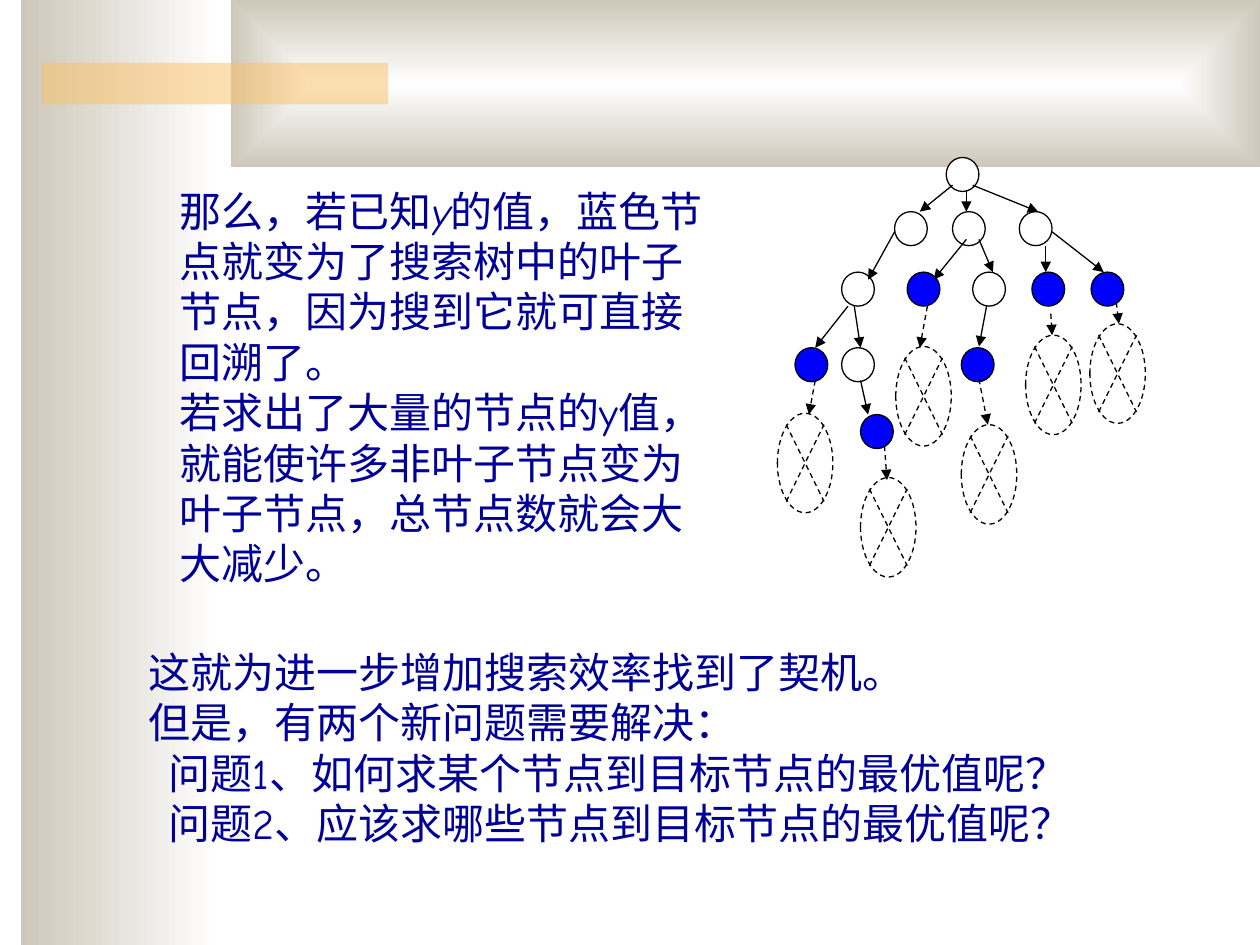
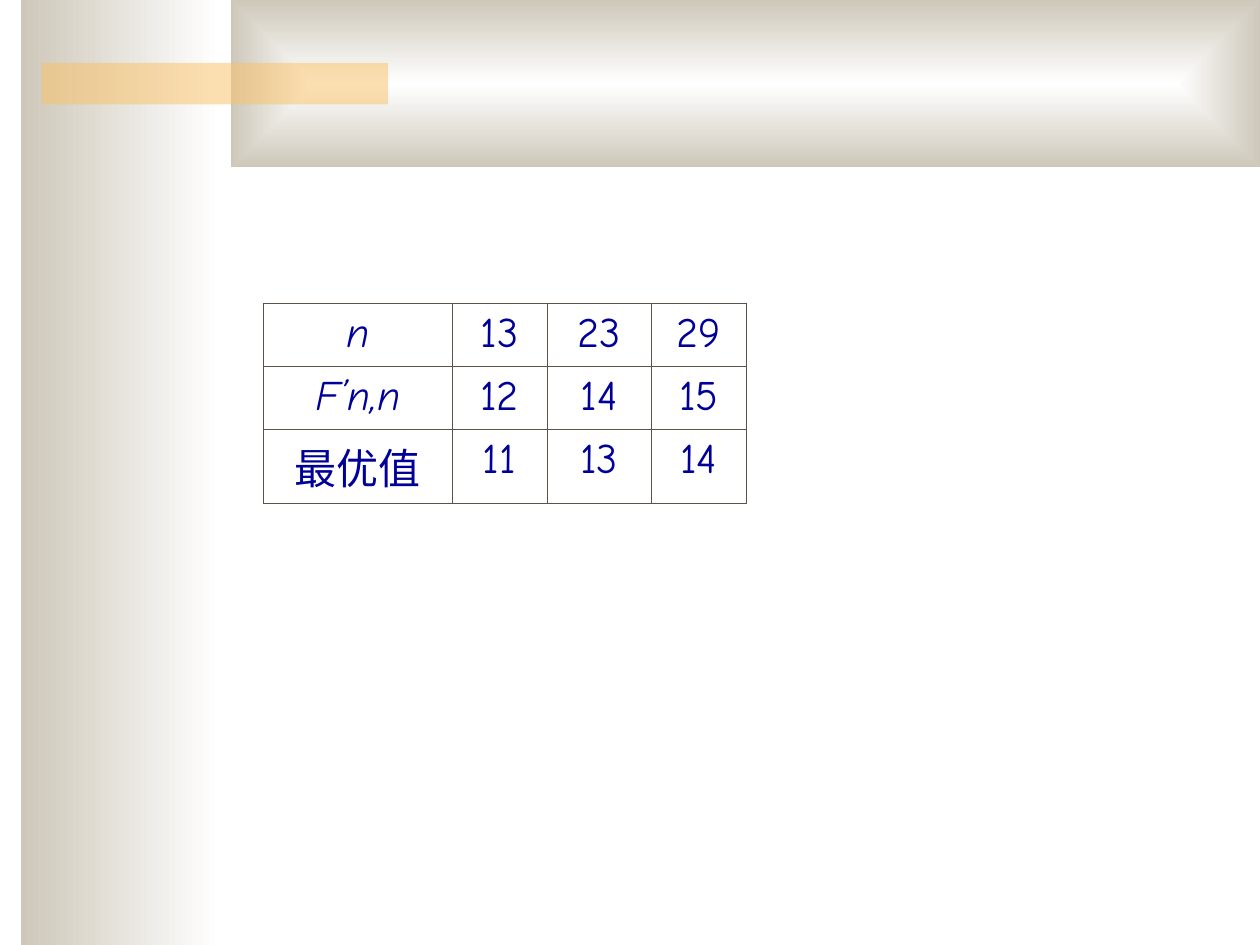
from dataclasses import dataclass

from lxml import etree
from pptx import Presentation
from pptx.dml.color import RGBColor
from pptx.enum.dml import MSO_LINE
from pptx.enum.lang import MSO_LANGUAGE_ID
from pptx.enum.shapes import MSO_CONNECTOR, MSO_SHAPE
from pptx.enum.text import PP_ALIGN
from pptx.oxml import parse_xml
from pptx.oxml.ns import nsdecls, qn
from pptx.util import Inches, Pt

RECT, OVAL = MSO_SHAPE.RECTANGLE, MSO_SHAPE.OVAL
STRAIGHT, DASH, CENTER = MSO_CONNECTOR.STRAIGHT, MSO_LINE.DASH, PP_ALIGN.CENTER
CHINESE = MSO_LANGUAGE_ID.SIMPLIFIED_CHINESE
BLANK = 6


@dataclass(frozen=True)
class Theme:
    white: str = "FFFFFF"
    stone: str = "CEC8BA"
    amber: str = "FAC164"
    navy: str = "000099"
    blue: str = "0000FF"
    black: str = "000000"
    border: str = "5B5249"
    font: str = "Comic Neue"
    body: float = 24
    line: float = 0.75
    cell_line: float = 0.45


T = Theme()

NODE_SIZE = (0.26, 0.27)
NODE_ROWS = [
    (1.25, [(7.51, T.white)]),
    (1.68, [(7.10, T.white), (7.56, T.white), (8.09, T.white)]),
    (2.16, [(6.68, T.white), (7.20, T.blue), (7.72, T.white), (8.19, T.blue), (8.66, T.blue)]),
    (2.76, [(6.31, T.blue), (6.68, T.white), (7.63, T.blue)]),
    (3.29, [(6.83, T.blue)]),
]
BRANCHES = [
    (7.56, 1.47, 7.30, 1.68), (7.67, 1.52, 7.67, 1.68), (7.72, 1.47, 8.24, 1.68),
    (7.10, 1.84, 6.89, 2.22), (7.67, 1.90, 7.41, 2.22), (7.77, 1.90, 7.88, 2.16),
    (8.30, 1.95, 8.30, 2.16), (8.35, 1.84, 8.76, 2.16), (7.83, 2.43, 7.77, 2.75),
    (6.78, 2.43, 6.83, 2.76), (6.73, 2.43, 6.47, 2.76), (6.83, 3.02, 6.89, 3.29),
]
CUT_BRANCHES = [
    (7.36, 2.43, 7.30, 2.76), (6.47, 3.02, 6.42, 3.29), (7.77, 3.01, 7.84, 3.37),
    (7.02, 3.54, 7.04, 3.81), (8.34, 2.49, 8.35, 2.66), (8.86, 2.40, 8.88, 2.57),
]
SUBTREE_SIZE = (0.44, 0.79)
SUBTREES = [(6.17, 3.28), (6.83, 3.79), (7.11, 2.75), (7.63, 3.37), (8.14, 2.66), (8.65, 2.57)]
CROSS_INSET = (0.07, 0.09)

LEAF_TEXT = [
    (0, [("那么，若已知", False), ("y", True),
         ("的值，蓝色节点就变为了搜索树中的叶子节点，因为搜到它就可直接回溯了。", False)]),
    (0, [("若求出了大量的节点的y值，就能使许多非叶子节点变为叶子节点，总节点数就会大大减少。", False)]),
]
QUESTION_TEXT = [
    (0, [("这就为进一步增加搜索效率找到了契机。", False)]),
    (0, [("但是，有两个新问题需要解决：", False)]),
    (0.16, [("问题1、如何求某个节点到目标节点的最优值呢？", False)]),
    (0.16, [("问题2、应该求哪些节点到目标节点的最优值呢？", False)]),
]
VALUES = [["n", "13", "23", "29"], ["F’n,n", "12", "14", "15"], ["最优值", "11", "13", "14"]]
ITALIC_LABELS = ("n", "F’n,n")


def rgb(value):
    return RGBColor.from_string(value)


def box(*lengths):
    return [Inches(v) for v in lengths]


def add_run(p, text, italic):
    r = p.add_run()
    r.text = text
    formats = {"name": T.font, "size": Pt(T.body), "italic": italic, "language_id": CHINESE}
    for name, value in formats.items():
        setattr(r.font, name, value)
    r.font.color.rgb = rgb(T.navy)


def add_text(s, at, paragraphs):
    tf = s.shapes.add_textbox(*box(*at)).text_frame
    tf.word_wrap = True
    for i, (indent, runs) in enumerate(paragraphs):
        p = tf.paragraphs[0] if i == 0 else tf.add_paragraph()
        if indent:
            p._p.get_or_add_pPr().set("marL", str(Inches(indent)))
        for text, italic in runs:
            add_run(p, text, italic)


def add_band(s, at, direction):
    sp = s.shapes.add_shape(RECT, *box(*at))
    sp.shadow.inherit = False
    sp.line.fill.background()
    old = sp._element.spPr.find(qn("a:prstGeom"))
    old.addnext(parse_xml(
        f'<a:gradFill {nsdecls("a")} rotWithShape="1"><a:gsLst>'
        f'<a:gs pos="0"><a:srgbClr val="{T.white}"/></a:gs>'
        f'<a:gs pos="100000"><a:srgbClr val="{T.stone}"/></a:gs>'
        f'</a:gsLst>{direction}</a:gradFill>'))
    return sp


def add_accent(s):
    sp = s.shapes.add_shape(RECT, *box(0.33, 0.5, 2.75, 0.33))
    sp.shadow.inherit = False
    sp.line.fill.background()
    sp.fill.solid()
    sp.fill.fore_color.rgb = rgb(T.amber)
    color = sp._element.spPr.find(qn("a:solidFill"))[0]
    etree.SubElement(color, qn("a:alpha")).set("val", "50000")
    return sp


def decorate_layout(s):
    center = '<a:fillToRect l="50000" t="50000" r="50000" b="50000"/>'
    shapes = [
        add_band(s, (0.17, 0, 1.58, 7.5), '<a:lin ang="10800000" scaled="1"/>'),
        add_band(s, (1.83, 0, 8.17, 1.33), f'<a:path path="rect">{center}</a:path>'),
        add_accent(s),
    ]
    for sp in shapes:
        s.slide_layout.shapes._spTree.append(sp._element)


def style_line(line, dashed):
    line.color.rgb = rgb(T.black)
    line.width = Pt(T.line)
    if dashed:
        line.dash_style = DASH


def add_oval(shapes, at, fill=None):
    sp = shapes.add_shape(OVAL, *box(*at))
    sp.shadow.inherit = False
    if fill:
        sp.fill.solid()
        sp.fill.fore_color.rgb = rgb(fill)
    else:
        sp.fill.background()
    style_line(sp.line, dashed=fill is None)


def add_line(shapes, ends, dashed=False, arrow=True):
    cxn = shapes.add_connector(STRAIGHT, *box(*ends))
    style_line(cxn.line, dashed)
    if arrow:
        etree.SubElement(cxn.line._get_or_add_ln(), qn("a:tailEnd")).set("type", "triangle")
    etree.SubElement(cxn._element.spPr, qn("a:effectLst"))


def add_cut_subtree(shapes, x, y):
    w, h = SUBTREE_SIZE
    dx, dy = CROSS_INSET
    left, right, top, bottom = x + dx, x + w - dx, y + dy, y + h - dy
    add_oval(shapes, (x, y, w, h))
    add_line(shapes, (left, top, right, bottom), dashed=True, arrow=False)
    add_line(shapes, (left, bottom, right, top), dashed=True, arrow=False)


def add_search_tree(s):
    shapes = s.shapes.add_group_shape().shapes
    for y, nodes in NODE_ROWS:
        for x, fill in nodes:
            add_oval(shapes, (x, y, *NODE_SIZE), fill)
    for ends in BRANCHES:
        add_line(shapes, ends)
    for ends in CUT_BRANCHES:
        add_line(shapes, ends, dashed=True)
    for x, y in SUBTREES:
        add_cut_subtree(shapes, x, y)


def add_borders(cell):
    tcPr = cell._tc.get_or_add_tcPr()
    for i, side in enumerate(("lnL", "lnR", "lnT", "lnB")):
        tcPr.insert(i, parse_xml(
            f'<a:{side} {nsdecls("a")} w="{Pt(T.cell_line)}"><a:solidFill>'
            f'<a:srgbClr val="{T.border}"/></a:solidFill></a:{side}>'))


def add_value_table(s):
    widths = [1.5, 0.75, 0.83, 0.75]
    frame = s.shapes.add_table(len(VALUES), len(widths), *box(2.09, 2.41, sum(widths), 1.5))
    table = frame.table
    table.first_row = table.horz_banding = False
    for column, width in zip(table.columns, widths):
        column.width = Inches(width)
    for i, row in enumerate(VALUES):
        table.rows[i].height = Inches(0.5)
        for j, text in enumerate(row):
            cell = table.cell(i, j)
            cell.fill.background()
            add_borders(cell)
            p = cell.text_frame.paragraphs[0]
            p.alignment = CENTER
            if (i, j) != (0, 0):
                p.space_before = Pt(6)
            add_run(p, text, text in ITALIC_LABELS)


def main():
    prs = Presentation()
    prs.slide_width, prs.slide_height = box(10, 7.5)
    layout = prs.slide_layouts[BLANK]

    s = prs.slides.add_slide(layout)
    decorate_layout(s)
    add_text(s, (1.33, 1.42, 4.5, 3.42), LEAF_TEXT)
    add_search_tree(s)
    add_text(s, (1.08, 5.08, 8.42, 1.83), QUESTION_TEXT)

    s = prs.slides.add_slide(layout)
    add_value_table(s)

    prs.save("out.pptx")


main()
